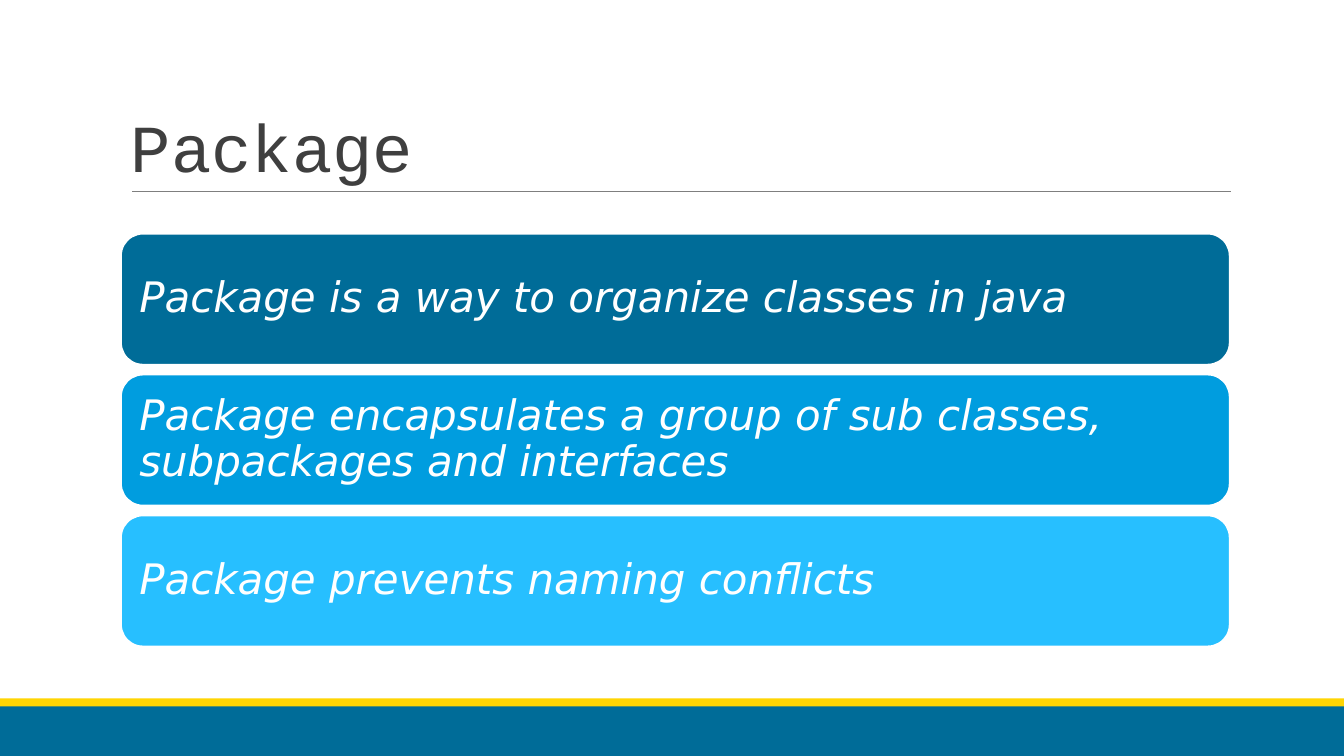
from pptx import Presentation
from pptx.dml.color import RGBColor as RGB
from pptx.enum.shapes import MSO_CONNECTOR as LINK, MSO_SHAPE as KIND
from pptx.enum.text import MSO_ANCHOR as ANCHOR, PP_ALIGN as ALIGN
from pptx.oxml.ns import qn
from pptx.util import Cm, Pt
from lxml.etree import SubElement

WIDE, HIGH = 33.87, 19.05
LEFT, SPAN = 3.05, 27.94
TOP, TALL, STEP = 5.89, 3.3, 3.55
CARDS = [
    ("Package is a way to organize classes in java", "006C98"),
    ("Package encapsulates a group of sub classes, subpackages and interfaces", "009DDF"),
    ("Package prevents naming conflicts", "27BFFF"),
]


def paint(part, tone):
    """Give a fill or a line format one solid colour."""
    fill = part.fill if hasattr(part, "fill") else part
    fill.solid()
    fill.fore_color.rgb = RGB.from_string(tone)


def write(frame, text, face, size, tone, lead, anchor, pads):
    """Set one wrapped, left-aligned paragraph in a text frame."""
    frame.word_wrap = True
    frame.vertical_anchor = anchor
    frame.margin_left = frame.margin_right = Cm(pads[0])
    frame.margin_top = frame.margin_bottom = Cm(pads[1])
    para = frame.paragraphs[0]
    para.text = text
    para.alignment = ALIGN.LEFT
    para.line_spacing = lead
    para.font.name = face
    para.font.size = Pt(size)
    para.font.color.rgb = RGB.from_string(tone)
    return para


def add_box(slide, kind, left, top, width, height, tone):
    """Add a filled shape with neither shadow nor outline."""
    box = slide.shapes.add_shape(kind, Cm(left), Cm(top), Cm(width), Cm(height))
    box.shadow.inherit = False
    paint(box.fill, tone)
    box.line.fill.background()
    return box


def add_title(slide, text):
    """Add the heading and the thin rule below it."""
    box = slide.shapes.add_textbox(Cm(LEFT), Cm(0.79), Cm(SPAN), Cm(4.04))
    write(box.text_frame, text, "Courier New", 48, "3F3F3F", 0.85,
          ANCHOR.BOTTOM, (0.25, 0.13))
    rule = slide.shapes.add_connector(
        LINK.STRAIGHT, Cm(3.33), Cm(4.83), Cm(31.01), Cm(4.83))
    paint(rule.line, "7F7F7F")
    rule.line.width = Pt(0.75)
    SubElement(rule._element.spPr, qn("a:effectLst"))


def add_card(slide, top, text, tone):
    """Add a rounded card with its statement."""
    card = add_box(slide, KIND.ROUNDED_RECTANGLE, LEFT, top, SPAN, TALL, tone)
    card.adjustments[0] = 0.167
    paint(card.line, "FFFFFF")
    card.line.width = Pt(1.25)
    para = write(card.text_frame, text, "DejaVu Sans", 30, "FFFFFF", 0.9,
                 ANCHOR.MIDDLE, (0.3, 0.3))
    para.font.italic = True


def main():
    """Build the slide and save it."""
    deck = Presentation()
    deck.slide_width, deck.slide_height = Cm(WIDE), Cm(HIGH)
    slide = deck.slides.add_slide(deck.slide_layouts[6])
    add_box(slide, KIND.RECTANGLE, 0, 17.78, WIDE, 1.27, "006C98")
    add_box(slide, KIND.RECTANGLE, 0, 17.6, WIDE, 0.2, "FFD503")
    add_title(slide, "Package")
    for row, (text, tone) in enumerate(CARDS):
        add_card(slide, TOP + row * STEP, text, tone)
    deck.save("out.pptx")


if __name__ == "__main__":
    main()
